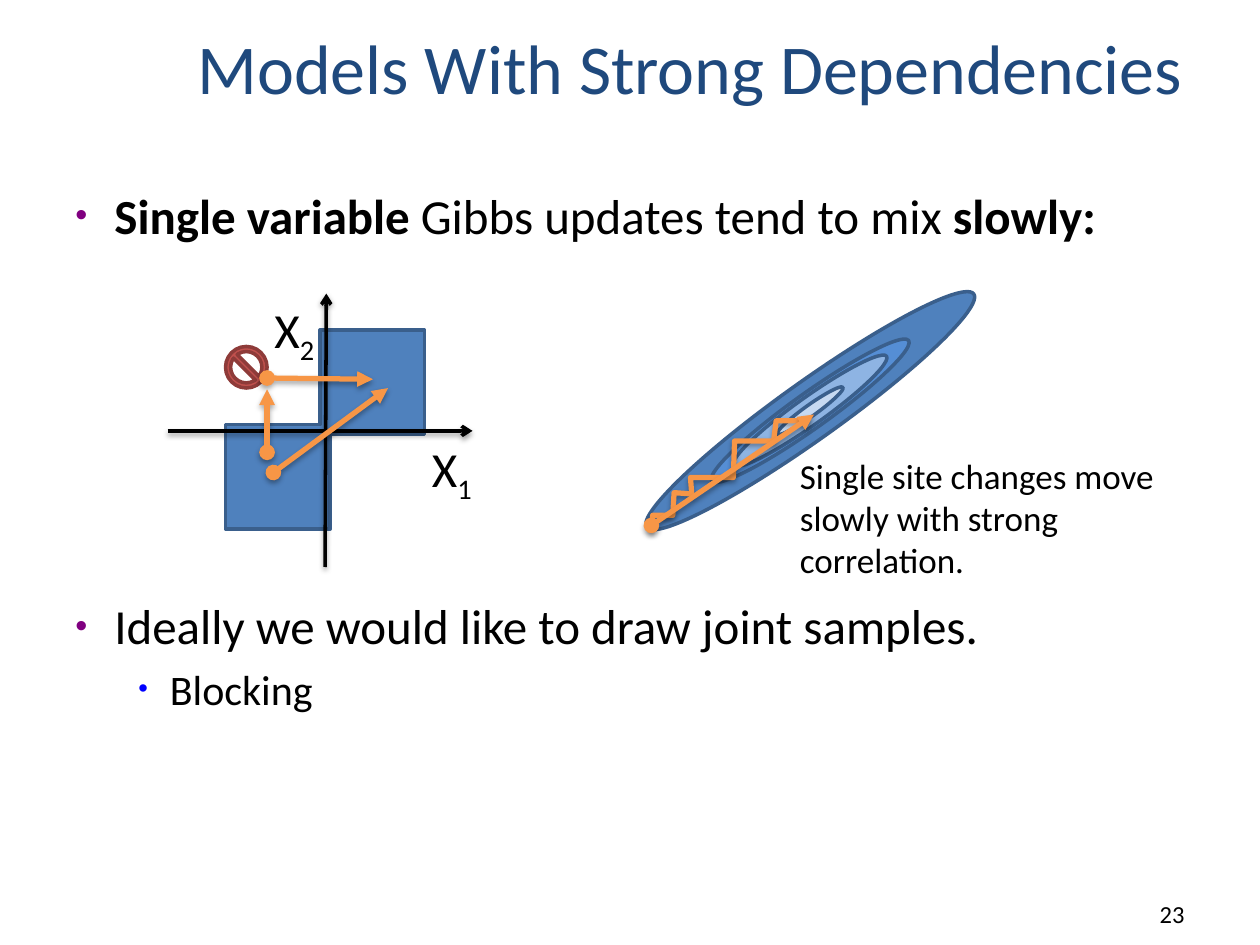
import pptx
import pptx.util
import pptx.dml.color
import pptx.enum.shapes
import pptx.enum.text
import pptx.oxml
import pptx.oxml.ns

Inches = pptx.util.Inches
Pt = pptx.util.Pt
SHAPE = pptx.enum.shapes.MSO_SHAPE
ANCHOR = pptx.enum.text.MSO_ANCHOR
ALIGN = pptx.enum.text.PP_ALIGN

BLACK = "000000"
ORANGE = "F79646"
BLUE = "4F81BD"
BLUE_EDGE = "3A5F8C"


def color(hex_code):
    return pptx.dml.color.RGBColor.from_string(hex_code)


def add_xml(parent, tag, **attributes):
    child = pptx.oxml.parse_xml(f"<a:{tag} {pptx.oxml.ns.nsdecls('a')}/>")
    for name, value in attributes.items():
        child.set(name, str(value))
    parent.append(child)
    return child


def add_shadow(effects, alpha, distance):
    shadow = add_xml(effects, "outerShdw", blurRad=Pt(3.1), dist=Pt(distance),
                     dir=90 * 60000, rotWithShape=0)
    add_xml(add_xml(shadow, "srgbClr", val=BLACK), "alpha", val=alpha * 1000)


def style_shape(shape, fill, edge, width=2):
    shape.shadow.inherit = False
    if fill:
        shape.fill.solid()
        shape.fill.fore_color.rgb = color(fill)
    else:
        shape.fill.background()
    shape.line.color.rgb = color(edge)
    shape.line.width = Pt(width)


def add_preset(slide, kind, left, top, width, height, fill, edge):
    shape = slide.shapes.add_shape(kind, Inches(left), Inches(top), Inches(width), Inches(height))
    style_shape(shape, fill, edge)
    return shape


def add_outline(slide, points, fill, edge, width, close):
    corners = [(Inches(x), Inches(y)) for x, y in points]
    builder = slide.shapes.build_freeform(*corners[0])
    builder.add_line_segments(corners[1:], close=close)
    outline = builder.convert_to_shape()
    style_shape(outline, fill, edge, width)
    return outline


def add_arrow(slide, start, end, hue, width, tail, head, alpha, distance):
    arrow = slide.shapes.add_connector(
        pptx.enum.shapes.MSO_CONNECTOR.STRAIGHT,
        *(Inches(value) for value in start + end))
    arrow.line.color.rgb = color(hue)
    arrow.line.width = Pt(width)
    ends = arrow.line._get_or_add_ln()
    add_xml(ends, "headEnd", type=head)
    add_xml(ends, "tailEnd", type=tail)
    add_shadow(add_xml(arrow._element.spPr, "effectLst"), alpha, distance)


def add_axis(slide, start, end):
    add_arrow(slide, start, end, BLACK, 2, "arrow", "none", 38, 1.6)


def add_move(slide, start, end):
    add_arrow(slide, start, end, ORANGE, 3, "triangle", "oval", 35, 1.8)


def add_run(paragraph, text, size, hue=BLACK, bold=False):
    run = paragraph.add_run()
    run.text = text
    run.font.name = "Calibri"
    run.font.size = Pt(size)
    run.font.color.rgb = color(hue)
    run.font.bold = bold
    return run


def add_frame(slide, left, top, width, height, anchor=ANCHOR.TOP, wrap=True):
    box = slide.shapes.add_textbox(Inches(left), Inches(top), Inches(width), Inches(height))
    frame = box.text_frame
    frame.word_wrap = wrap
    frame.vertical_anchor = anchor
    return frame


def set_bullet(paragraph, level, margin, indent, hue, percent):
    paragraph.level = level
    properties = paragraph._p.get_or_add_pPr()
    properties.set("marL", str(Inches(margin)))
    properties.set("indent", str(Inches(-indent)))
    add_xml(add_xml(properties, "buClr"), "srgbClr", val=hue)
    add_xml(properties, "buSzPct", val=percent * 1000)
    add_xml(properties, "buFont", typeface="Arial")
    add_xml(properties, "buChar", char="•")


def add_axis_label(slide, left, top, index):
    label = add_frame(slide, left, top, 0.54, 0.57, wrap=False).paragraphs[0]
    add_run(label, "X", 28)
    subscript = add_run(label, index, 28)
    subscript.font._element.set("baseline", "-25000")


def add_body(slide):
    body = add_frame(slide, 0.5, 1.42, 9, 5.42)
    updates = body.paragraphs[0]
    set_bullet(updates, 0, 0.31, 0.31, "800080", 70)
    add_run(updates, "Single variable ", 28, bold=True)
    add_run(updates, "Gibbs updates tend to mix ", 28)
    add_run(updates, "slowly:", 28, bold=True)

    ideal = body.add_paragraph()
    ideal.space_before = Pt(201)
    set_bullet(ideal, 0, 0.31, 0.31, "800080", 70)
    add_run(ideal, "Ideally we would like to draw joint samples.", 28)

    blocking = body.add_paragraph()
    blocking.space_before = Pt(5)
    set_bullet(blocking, 1, 0.75, 0.25, "0000FF", 65)
    add_run(blocking, "Blocking", 24)


def add_block_diagram(slide):
    barrier = add_preset(slide, SHAPE.NO_SYMBOL, 1.79, 2.75, 0.33, 0.33, "C0504D", "8E3B39")
    barrier.adjustments[0] = 0.124
    blocks = [(1.79, 3.37), (2.54, 3.37), (2.54, 2.62), (3.37, 2.62),
              (3.37, 3.45), (2.62, 3.45), (2.62, 4.2), (1.79, 4.2)]
    add_outline(slide, blocks, BLUE, BLUE_EDGE, 2, close=True)
    add_axis(slide, (2.58, 4.5), (2.59, 2.33))
    add_axis(slide, (1.33, 3.42), (3.75, 3.42))
    add_axis_label(slide, 3.33, 3.43, "1")
    add_axis_label(slide, 2.08, 2.33, "2")
    add_move(slide, (2.12, 3), (2.96, 3.01))
    add_move(slide, (2.12, 3.59), (2.12, 3.09))


def add_correlation_diagram(slide):
    center_x, center_y = 6.43, 3.26
    contours = [(0.46, 3.19, BLUE), (0.28, 1.92, "558ED5"),
                (0.22, 1.49, "8EB4E3"), (0.09, 0.64, "C6D9F1")]
    for width, height, fill in contours:
        contour = add_preset(slide, SHAPE.OVAL, center_x - width / 2, center_y - height / 2,
                             width, height, fill, BLUE_EDGE)
        contour.rotation = 54.5
    steps = [(5.17, 4.22), (5.18, 4.09), (5.34, 4.09), (5.35, 3.91), (5.49, 3.92), (5.48, 3.79),
             (5.82, 3.79), (5.83, 3.5), (6.14, 3.5), (6.16, 3.34), (6.42, 3.34)]
    staircase = add_outline(slide, steps, None, ORANGE, 3, close=False)
    effects = staircase._element.spPr.find(pptx.oxml.ns.qn("a:effectLst"))
    add_shadow(effects, 35, 1.8)
    note = add_frame(slide, 6.25, 3.56, 3.17, 1.11)
    add_run(note.paragraphs[0], "Single site changes move slowly with strong correlation.", 20)


def main():
    deck = pptx.Presentation()
    deck.slide_width, deck.slide_height = Inches(10), Inches(7.5)
    slide = deck.slides.add_slide(deck.slide_layouts[6])

    title = add_frame(slide, 1.47, 0.08, 8.2, 0.83, ANCHOR.BOTTOM)
    add_run(title.paragraphs[0], "Models With Strong Dependencies", 40, "1F497D")
    add_body(slide)
    page = add_frame(slide, 7.42, 6.92, 2.08, 0.5, ANCHOR.BOTTOM).paragraphs[0]
    page.alignment = ALIGN.RIGHT
    add_run(page, "23", 14)

    add_block_diagram(slide)
    add_correlation_diagram(slide)
    add_move(slide, (5.17, 4.17), (6.46, 3.29))
    add_move(slide, (2.17, 3.75), (3.08, 3.08))
    deck.save("out.pptx")


if __name__ == "__main__":
    main()
